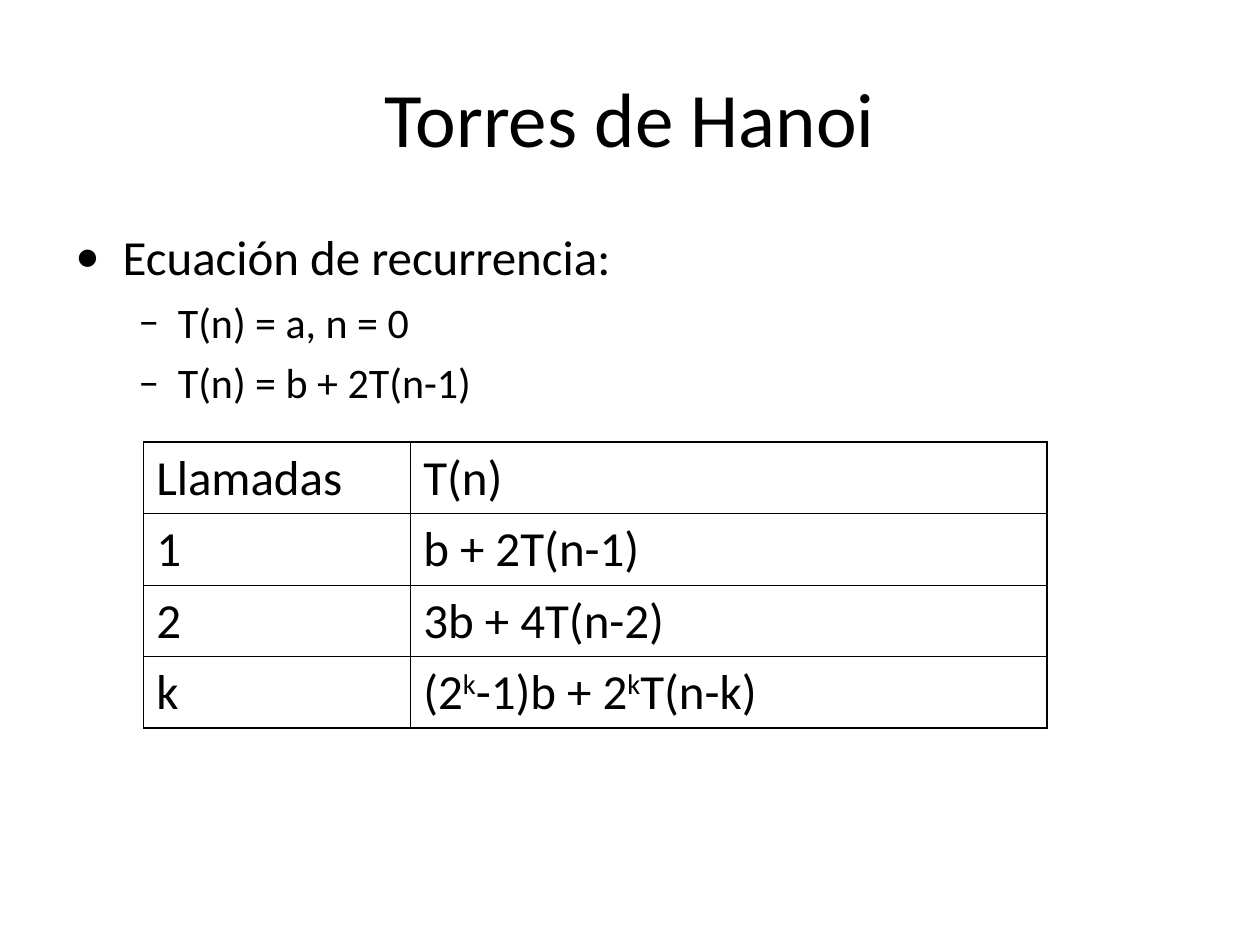
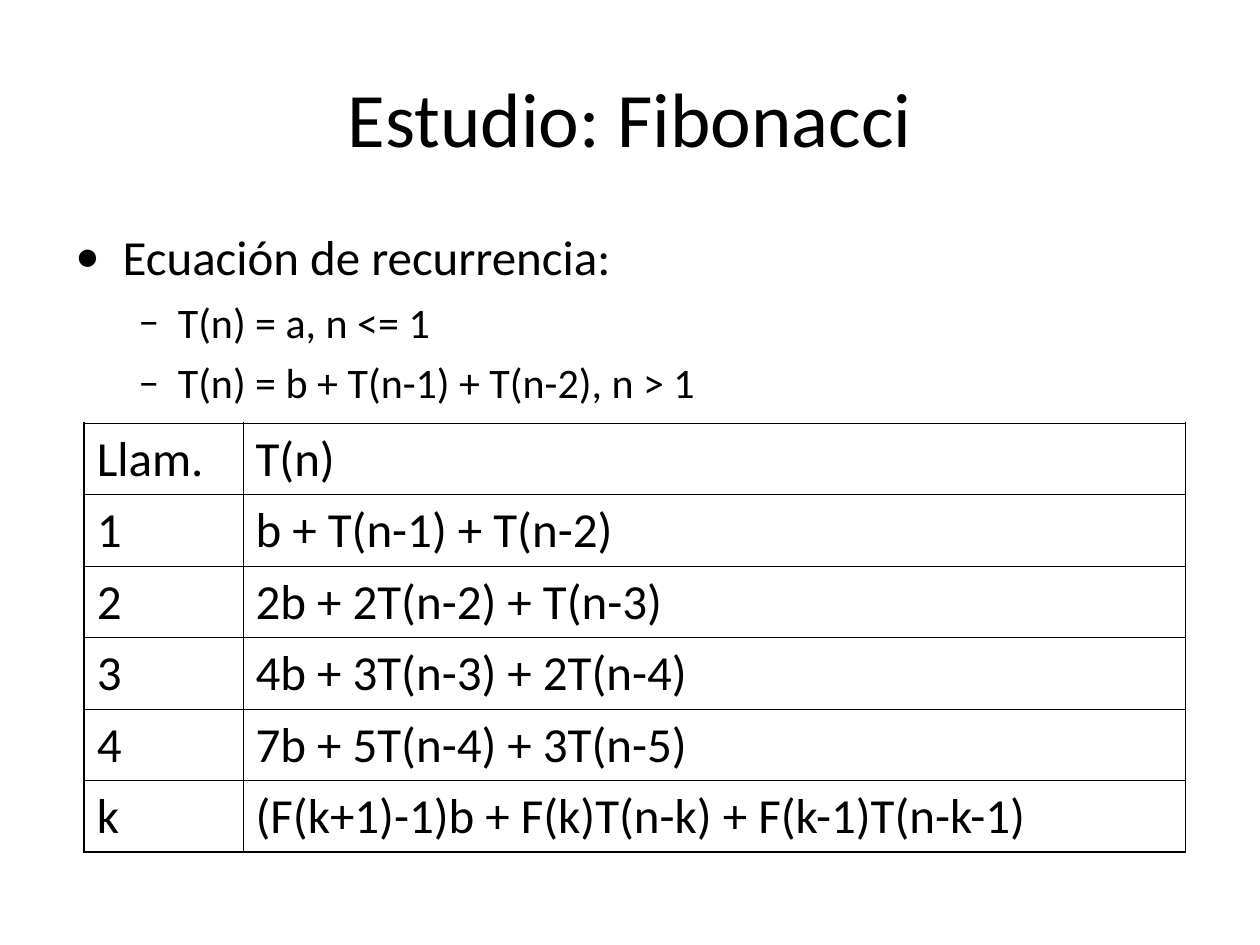
import pptx
import pptx.dml.color
import pptx.enum.text
import pptx.oxml.ns
import pptx.util
from lxml import etree

Pt = pptx.util.Pt
RGB = pptx.dml.color.RGBColor.from_string
PP_ALIGN = pptx.enum.text.PP_ALIGN
MSO_ANCHOR = pptx.enum.text.MSO_ANCHOR
qn = pptx.oxml.ns.qn

COLORS = {"ink": "000000", "paper": "FFFFFF"}
FONT = "Calibri"
MARGINS = {"margin_left": 7.2, "margin_top": 3.6,
           "margin_right": 7.2, "margin_bottom": 3.6}
TITLE_BOX = (36, 21.6, 648, 90)
BODY_BOX = (36, 126, 647.3, 356.4)
ROW_H = 40.8
OUTER, INNER = 1.08, 0.45
LEVELS = [
    {"size": 28, "before": 7, "left": 27, "hang": 27, "bullet": "•"},
    {"size": 24, "before": 6, "left": 58.5, "hang": 22.5, "bullet": "–"},
]


class Deck:
    def __init__(self):
        self.prs = pptx.Presentation()
        self.prs.slide_width, self.prs.slide_height = Pt(720), Pt(540)

    def new_slide(self):
        self.s = self.prs.slides.add_slide(self.prs.slide_layouts[6])
        fill = self.s.background.fill
        fill.solid()
        fill.fore_color.rgb = RGB(COLORS["paper"])

    def add_runs(self, p, text, size):
        """Fill a paragraph; text between two ^ marks is superscript."""
        for i, part in enumerate(text.split("^")):
            r = p.add_run()
            r.text = part
            for name, value in {"name": FONT, "size": Pt(size)}.items():
                setattr(r.font, name, value)
            r.font.color.rgb = RGB(COLORS["ink"])
            if i % 2:
                r._r.get_or_add_rPr().set("baseline", "30000")

    def text_frame(self, box):
        tf = self.s.shapes.add_textbox(*map(Pt, box)).text_frame
        tf.word_wrap = True
        for name, value in MARGINS.items():
            setattr(tf, name, Pt(value))
        return tf

    def title(self, text):
        tf = self.text_frame(TITLE_BOX)
        tf.vertical_anchor = MSO_ANCHOR.MIDDLE
        p = tf.paragraphs[0]
        p.alignment = PP_ALIGN.CENTER
        self.add_runs(p, text, 44)

    def bullets(self, items):
        tf = self.text_frame(BODY_BOX)
        for i, (level, text) in enumerate(items):
            p = tf.add_paragraph() if i else tf.paragraphs[0]
            style = LEVELS[level]
            p.level = level
            p.space_before = Pt(style["before"])
            pPr = p._p.get_or_add_pPr()
            pPr.set("marL", str(Pt(style["left"])))
            pPr.set("indent", str(-Pt(style["hang"])))
            etree.SubElement(pPr, qn("a:buFont"), typeface=FONT)
            etree.SubElement(pPr, qn("a:buChar"), char=style["bullet"])
            self.add_runs(p, text, style["size"])

    def border(self, cell, side, width):
        ln = etree.SubElement(cell._tc.get_or_add_tcPr(), qn("a:ln" + side),
                              w=str(Pt(width)))
        fill = etree.SubElement(ln, qn("a:solidFill"))
        etree.SubElement(fill, qn("a:srgbClr"), val=COLORS["ink"])

    def table(self, left, top, widths, rows):
        n_rows, n_cols = len(rows), len(widths)
        frame = self.s.shapes.add_table(n_rows, n_cols, Pt(left), Pt(top),
                                        Pt(sum(widths)), Pt(ROW_H * n_rows))
        table = frame.table
        table.first_row = table.horz_banding = False
        for column, width in zip(table.columns, widths):
            column.width = Pt(width)
        for i, row in enumerate(rows):
            table.rows[i].height = Pt(ROW_H)
            for j, text in enumerate(row):
                cell = table.cell(i, j)
                for name, value in MARGINS.items():
                    setattr(cell, name, Pt(value))
                on_edge = {"L": j == 0, "R": j == n_cols - 1,
                           "T": i == 0, "B": i == n_rows - 1}
                for side, outer in on_edge.items():
                    self.border(cell, side, OUTER if outer else INNER)
                cell.fill.solid()
                cell.fill.fore_color.rgb = RGB(COLORS["paper"])
                p = cell.text_frame.paragraphs[0]
                p.space_before = Pt(7)
                self.add_runs(p, text, 28)

    def recurrence(self, title, cases, left, top, widths, rows):
        """Add a slide with a recurrence equation and its table of calls."""
        self.new_slide()
        self.title(title)
        self.bullets([(0, "Ecuación de recurrencia:")]
                     + [(1, case) for case in cases])
        self.table(left, top, widths, rows)


def main():
    deck = Deck()
    deck.recurrence(
        "Torres de Hanoi",
        ["T(n) = a, n = 0", "T(n) = b + 2T(n-1)"],
        82.1, 252.7, [152.6, 363.6],
        [("Llamadas", "T(n)"),
         ("1", "b + 2T(n-1)"),
         ("2", "3b + 4T(n-2)"),
         ("k", "(2^k^-1)b + 2^k^T(n-k)")])
    deck.recurrence(
        "Estudio: Fibonacci",
        ["T(n) = a, n <= 1", "T(n) = b + T(n-1) + T(n-2), n > 1"],
        48.2, 241.9, [90.7, 538.6],
        [("Llam.", "T(n)"),
         ("1", "b + T(n-1) + T(n-2)"),
         ("2", "2b + 2T(n-2) + T(n-3)"),
         ("3", "4b + 3T(n-3) + 2T(n-4)"),
         ("4", "7b + 5T(n-4) + 3T(n-5)"),
         ("k", "(F(k+1)-1)b + F(k)T(n-k) + F(k-1)T(n-k-1)")])
    deck.prs.save("out.pptx")


if __name__ == "__main__":
    main()
